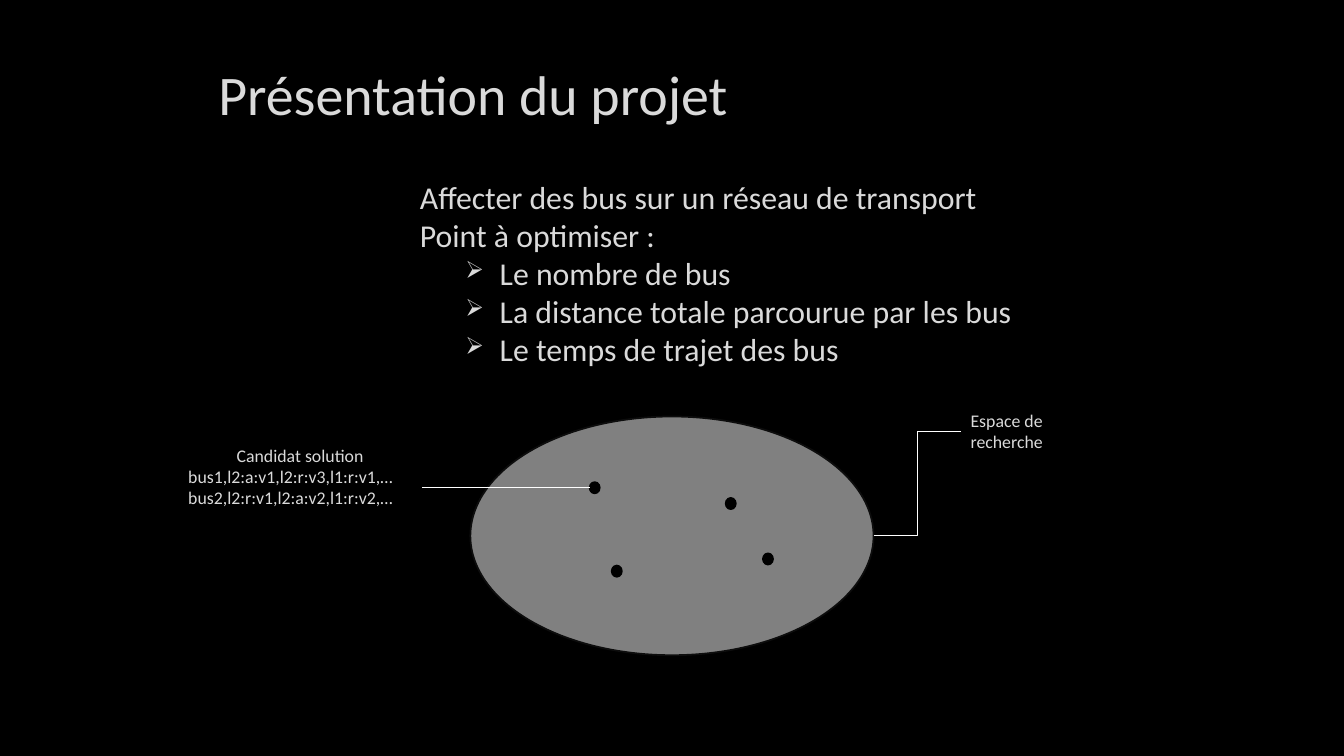
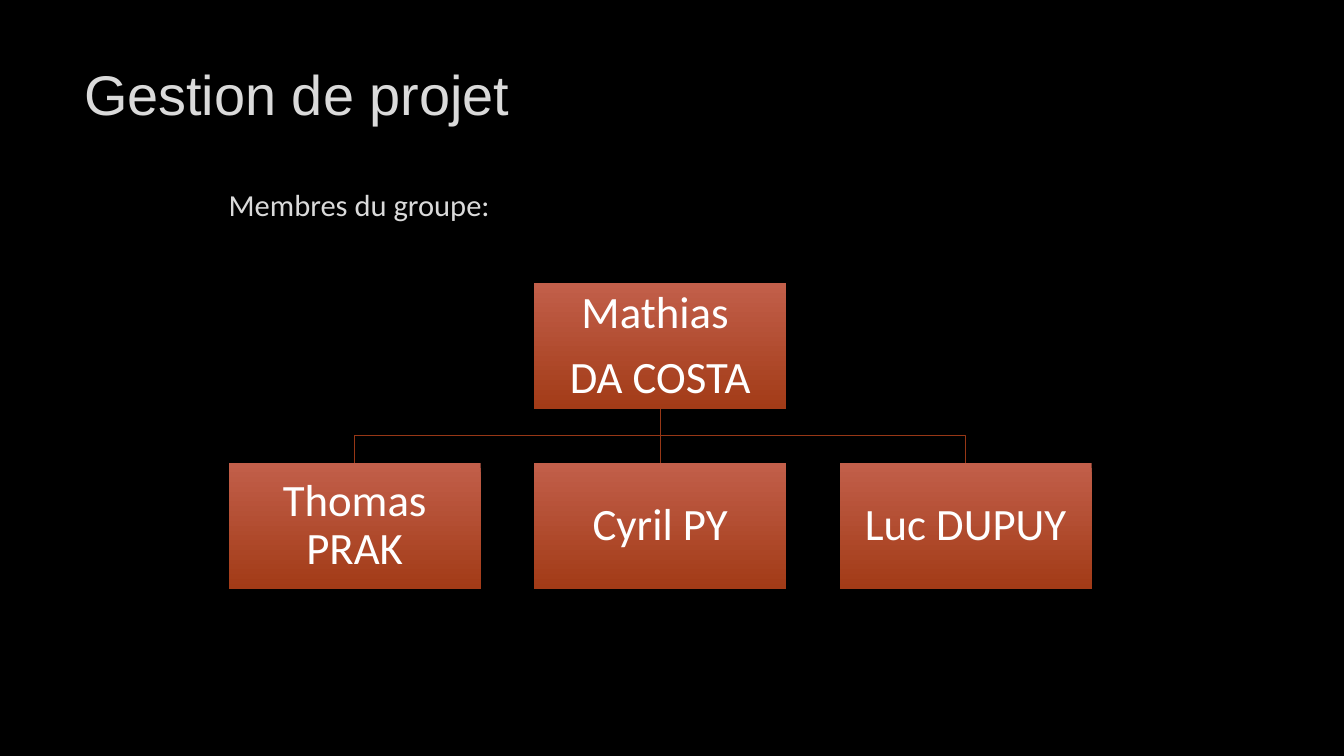
from lxml import etree
from pptx import Presentation
from pptx import util as u
from pptx.dml.color import RGBColor
from pptx.enum import shapes, text
from pptx.oxml import ns

COLORS = {
    "background": "000000",
    "text": "DADADA",
    "white": "FFFFFF",
    "space": "808080",
    "space_edge": "0D0D0D",
    "branch": "973716",
    "member_top": "C25F4A",
    "member_bottom": "A23B17",
}
CENTER = {"alignment": text.PP_ALIGN.CENTER}
BULLET = {"marL": u.Pt(57), "indent": u.Pt(-24.5)}
MIDDLE = text.MSO_ANCHOR.MIDDLE


def rgb(name):
    return RGBColor.from_string(COLORS[name])


def apply(target, values):
    for name, value in values.items():
        setattr(target, name, value)


class Deck:
    def __init__(self):
        self.presentation = Presentation()
        apply(self.presentation, {"slide_width": u.Pt(960), "slide_height": u.Pt(540)})
        self.slide = None

    def new_slide(self):
        self.slide = self.presentation.slides.add_slide(self.presentation.slide_layouts[6])
        fill = self.slide.background.fill
        fill.solid()
        fill.fore_color.rgb = rgb("background")

    def fill_text(self, shape, lines, size, font="Calibri", color="text",
                  inset=None, anchor=text.MSO_ANCHOR.TOP, formats=()):
        frame = shape.text_frame
        apply(frame, {"word_wrap": True, "vertical_anchor": anchor})
        if inset is not None:
            sides = ("left", "top", "right", "bottom")
            apply(frame, {f"margin_{side}": u.Pt(inset) for side in sides})
        for index, line in enumerate(lines):
            paragraph = frame.paragraphs[0] if index == 0 else frame.add_paragraph()
            apply(paragraph, formats[index] if index < len(formats) else {})
            run = paragraph.add_run()
            run.text = line
            apply(run.font, {"size": u.Pt(size), "name": font})
            run.font.color.rgb = rgb(color)

    def text(self, box, lines, size, **style):
        shape = self.slide.shapes.add_textbox(*map(u.Pt, box))
        self.fill_text(shape, lines, size, **style)
        return shape

    def title(self, box, wording, font="Calibri"):
        self.text(box, [wording], 39.9, font=font, inset=0, anchor=MIDDLE)

    def bullets(self, paragraphs):
        for paragraph in paragraphs:
            paragraph.level = 1
            properties = paragraph._p.get_or_add_pPr()
            for name, value in BULLET.items():
                properties.set(name, str(value))
            etree.SubElement(properties, ns.qn("a:buSzPct")).set("val", "75000")
            etree.SubElement(properties, ns.qn("a:buChar")).set("char", "➢")

    def stroke(self, shape, color, width):
        shape.line.color.rgb = rgb(color)
        shape.line.width = u.Pt(width)

    def shape(self, kind, box, fill, edge):
        shape = self.slide.shapes.add_shape(kind, *map(u.Pt, box))
        shape.shadow.inherit = False
        shape.fill.solid()
        shape.fill.fore_color.rgb = rgb(fill)
        self.stroke(shape, edge, 1.25)

    def member(self, box, lines):
        shape = self.slide.shapes.add_shape(shapes.MSO_SHAPE.RECTANGLE, *map(u.Pt, box))
        shape.shadow.inherit = False
        shape.line.fill.background()
        shape.fill.gradient()
        shape.fill.gradient_angle = 270
        for stop, color in zip(shape.fill.gradient_stops, ("member_top", "member_bottom")):
            stop.color.rgb = rgb(color)
        spaced = {**CENTER, "line_spacing": 0.9, "space_after": u.Pt(12)}
        self.fill_text(shape, lines, 32, color="white", inset=1.6, anchor=MIDDLE,
                       formats=[spaced] * len(lines))
        return shape

    def connector(self, kind, start, end, color):
        line = self.slide.shapes.add_connector(kind, *map(u.Pt, (*start, *end)))
        self.stroke(line, color, 0.75)
        etree.SubElement(line._element.spPr, ns.qn("a:effectLst"))
        return line

    def branch(self, points):
        first, *rest = [tuple(map(u.Pt, point)) for point in points]
        builder = self.slide.shapes.build_freeform(*first)
        builder.add_line_segments(rest, close=False)
        branch = builder.convert_to_shape()
        branch.shadow.inherit = False
        branch.fill.background()
        self.stroke(branch, "branch", 0.75)


def project_slide(deck):
    deck.new_slide()
    deck.title((156, 21.6, 648, 90), "Présentation du projet")
    goals = deck.text((300, 126.7, 504, 313), [
        "Affecter des bus sur un réseau de transport",
        "Point à optimiser :",
        "Le nombre de bus",
        "La distance totale parcourue par les bus",
        "Le temps de trajet des bus",
    ], 22.7, inset=0)
    deck.bullets(goals.text_frame.paragraphs[2:])

    deck.shape(shapes.MSO_SHAPE.OVAL, (336, 297.5, 288, 170.5), "space", "space_edge")
    for left, top in ((421.2, 344.4), (545, 395.3), (437, 404), (518.4, 355.7)):
        deck.shape(shapes.MSO_SHAPE.FLOWCHART_CONNECTOR, (left, top, 7.2, 8),
                   "background", "background")

    candidate = deck.text((127.4, 313.9, 174, 69), [
        "Candidat solution",
        "bus1,l2:a:v1,l2:r:v3,l1:r:v1,…",
        "bus2,l2:r:v1,l2:a:v2,l1:r:v2,…",
    ], 12.7, formats=[CENTER])
    pointer = deck.connector(shapes.MSO_CONNECTOR.STRAIGHT, (421.2, 348.4), (301.4, 348.4), "white")
    pointer.end_connect(candidate, 3)
    deck.connector(shapes.MSO_CONNECTOR.ELBOW, (624, 382.8), (686.2, 308), "white")
    deck.text((686.2, 288.9, 108, 38.2), ["Espace de", "recherche"], 12.7)


def team_slide(deck):
    deck.new_slide()
    deck.title((60, 21.6, 744, 90), "Gestion de projet", font="Arial")
    deck.text((156.2, 129.6, 466, 34), ["Membres du groupe:"], 21.8)

    width, height, pitch = 180, 90, 218.2
    left, leader_top, team_top = 163.4, 202.3, 330.5
    center = left + pitch + width / 2
    leader_bottom = leader_top + height
    bus = (leader_bottom + team_top) / 2
    for end in (center + pitch, center - pitch):
        deck.branch([(center, leader_bottom), (center, bus), (end, bus), (end, team_top)])

    leader = deck.member((left + pitch, leader_top, width, height), ["Mathias ", "DA COSTA"])
    team = [deck.member((left + index * pitch, team_top, width, height), [name])
            for index, name in enumerate(("Thomas PRAK", "Cyril PY", "Luc DUPUY"))]
    trunk = deck.connector(shapes.MSO_CONNECTOR.STRAIGHT, (center, leader_bottom),
                           (center, team_top), "branch")
    trunk.begin_connect(leader, 2)
    trunk.end_connect(team[1], 0)


def main():
    deck = Deck()
    project_slide(deck)
    team_slide(deck)
    deck.presentation.save("out.pptx")


if __name__ == "__main__":
    main()
